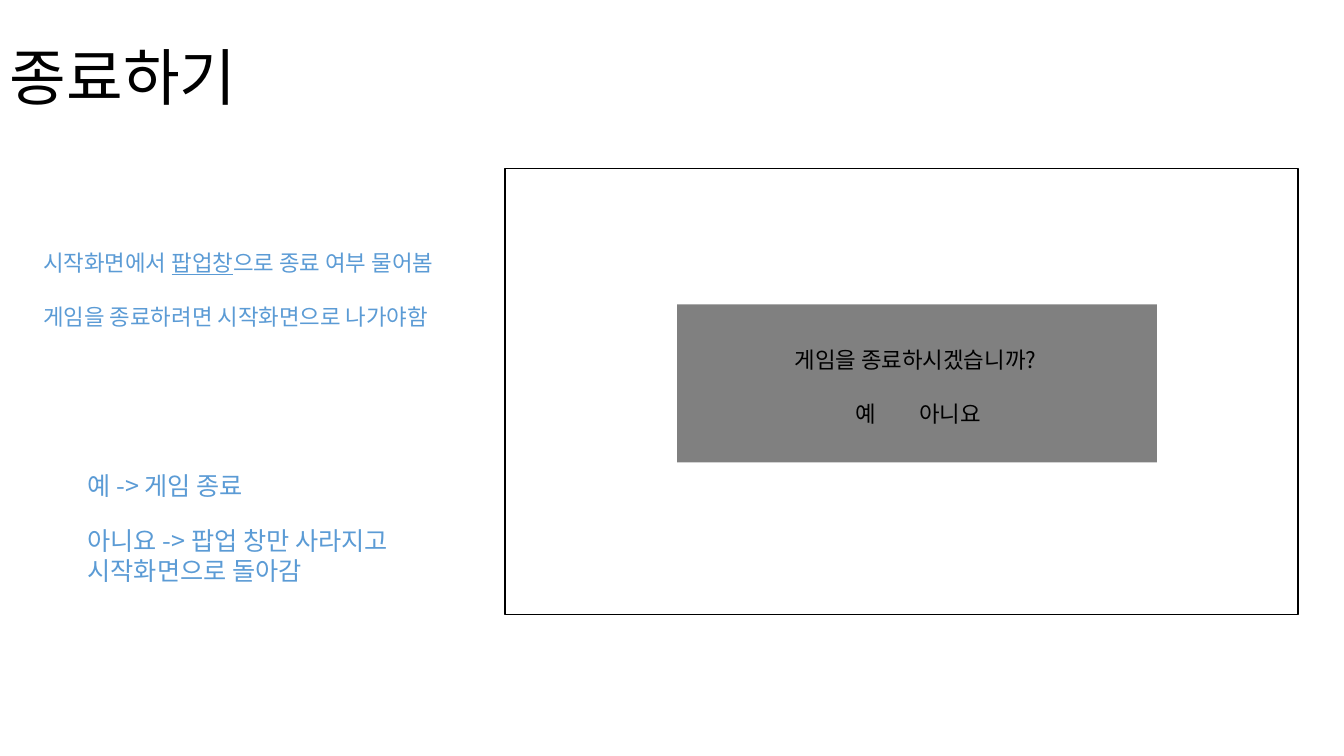
from pptx import Presentation
from pptx.dml.color import RGBColor
from pptx.enum import shapes, text
from pptx.oxml import parse_xml
from pptx.oxml.ns import nsdecls
from pptx.util import Pt

FACE = "Noto Sans CJK KR"
BLACK = RGBColor(0, 0, 0)
WHITE = RGBColor(255, 255, 255)
GRAY = RGBColor(128, 128, 128)
BLUE = RGBColor(0x5B, 0x9B, 0xD5)
GAP = 19.3


def add_box(slide, box, fill, line=None):
    rect = slide.shapes.add_shape(shapes.MSO_SHAPE.RECTANGLE, *map(Pt, box))
    rect.shadow.inherit = False
    rect.fill.solid()
    rect.fill.fore_color.rgb = fill
    if line is None:
        rect.line.fill.background()
    else:
        rect.line.color.rgb = line
        rect.line.width = Pt(1)


def add_text(slide, box, lines, size, color):
    frame = slide.shapes.add_textbox(*map(Pt, box)).text_frame
    frame.word_wrap = True
    for i, parts in enumerate(lines):
        para = frame.add_paragraph() if i else frame.paragraphs[0]
        if i:
            para.space_before = Pt(GAP)
        font = para.font
        font.size, font.name = Pt(size), FACE
        font.color.rgb = color
        font._element.append(parse_xml(f'<a:ea {nsdecls("a")} typeface="{FACE}"/>'))
        for j, part in enumerate(parts):
            run = para.add_run()
            run.text = part
            if j == 1:
                run.font.underline = True
    return frame


def add_title(slide, box):
    frame = add_text(slide, box, [["종료하기"]], 44, BLACK)
    frame.vertical_anchor = text.MSO_ANCHOR.MIDDLE
    frame.paragraphs[0].line_spacing = 0.9


def add_popup(slide, box):
    left, top, width, height = box
    add_box(slide, box, GRAY)
    lines = [["게임을 종료하시겠습니까?"], ["\t예\t아니요"]]
    area = (left + 64, top + 26, 212.4, 85)
    ask, pick = add_text(slide, area, lines, 16, BLACK).paragraphs
    ask.alignment = text.PP_ALIGN.CENTER
    pick.alignment = text.PP_ALIGN.LEFT
    stops = "".join(f'<a:tab pos="{Pt(x)}" algn="l"/>' for x in (56, 102))
    tabs = parse_xml(f'<a:tabLst {nsdecls("a")}>{stops}</a:tabLst>')
    pick.font._element.addprevious(tabs)


def add_screen(slide, box):
    left, top, width, height = box
    add_box(slide, box, WHITE, BLACK)
    add_popup(slide, (left + 123, top + 97.2, 342.7, 113))


def add_notes(slide, box):
    left, top, width, height = box
    lines = [["시작화면에서 ", "팝업창", "으로 종료 여부 물어봄"],
             ["게임을 종료하려면 시작화면으로 나가야함"]]
    add_text(slide, (left, top, width, 65.5), lines, 16, BLUE)
    answers = [(158.4, 28.8, "예 -> 게임 종료"),
               (197.3, 51, "아니요 -> 팝업 창만 사라지고 시작화면으로 돌아감")]
    for down, tall, words in answers:
        add_text(slide, (left + 31.7, top + down, 268.6, tall), [[words]], 18, BLUE)


def main():
    deck = Presentation()
    deck.slide_width, deck.slide_height = Pt(960), Pt(540)
    slide = deck.slides.add_slide(deck.slide_layouts[6])
    add_title(slide, (0, 5, 828, 104.4))
    add_screen(slide, (360.7, 120.2, 566.6, 319))
    add_notes(slide, (23.8, 174.2, 370, 248.3))
    deck.save("out.pptx")


if __name__ == "__main__":
    main()
